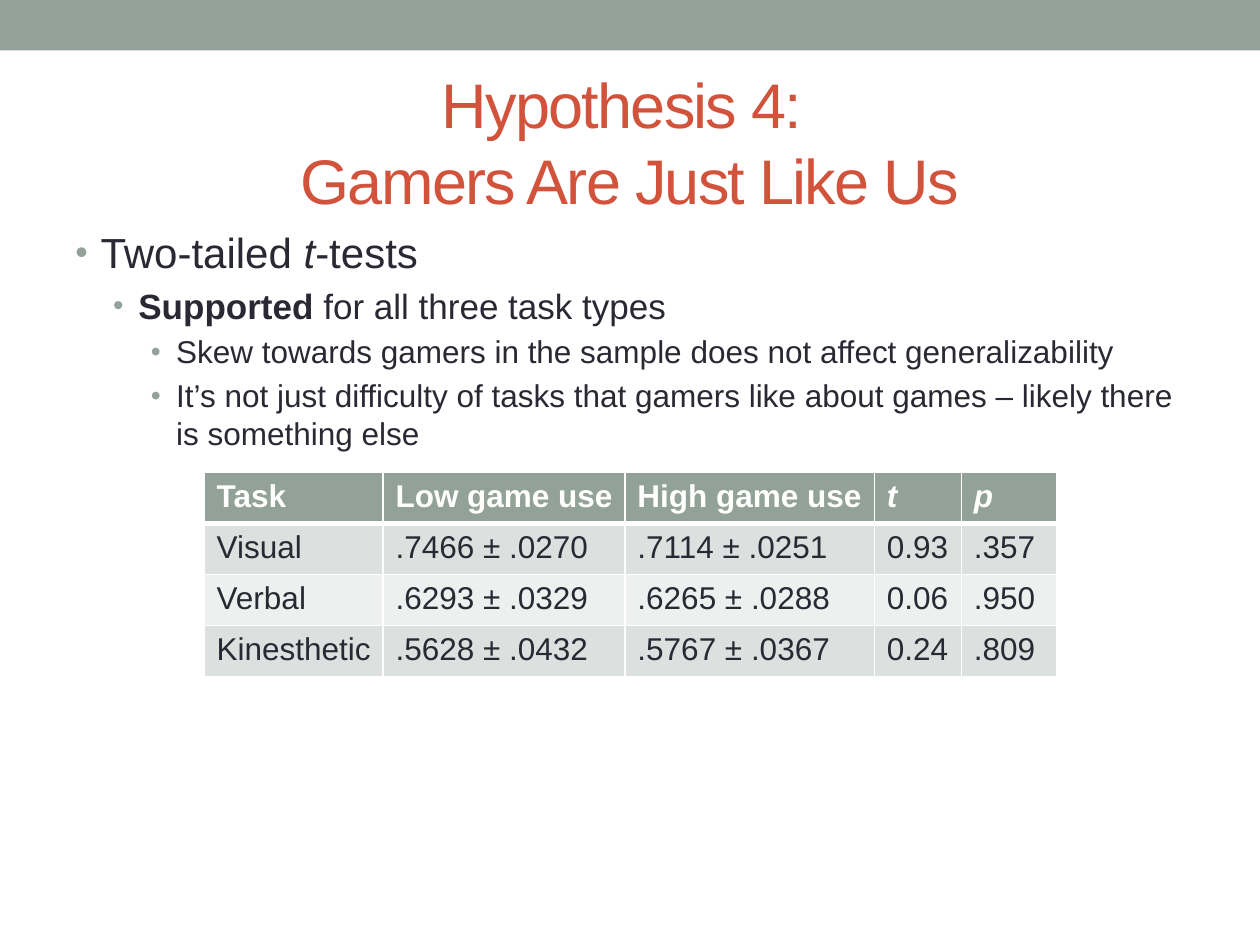
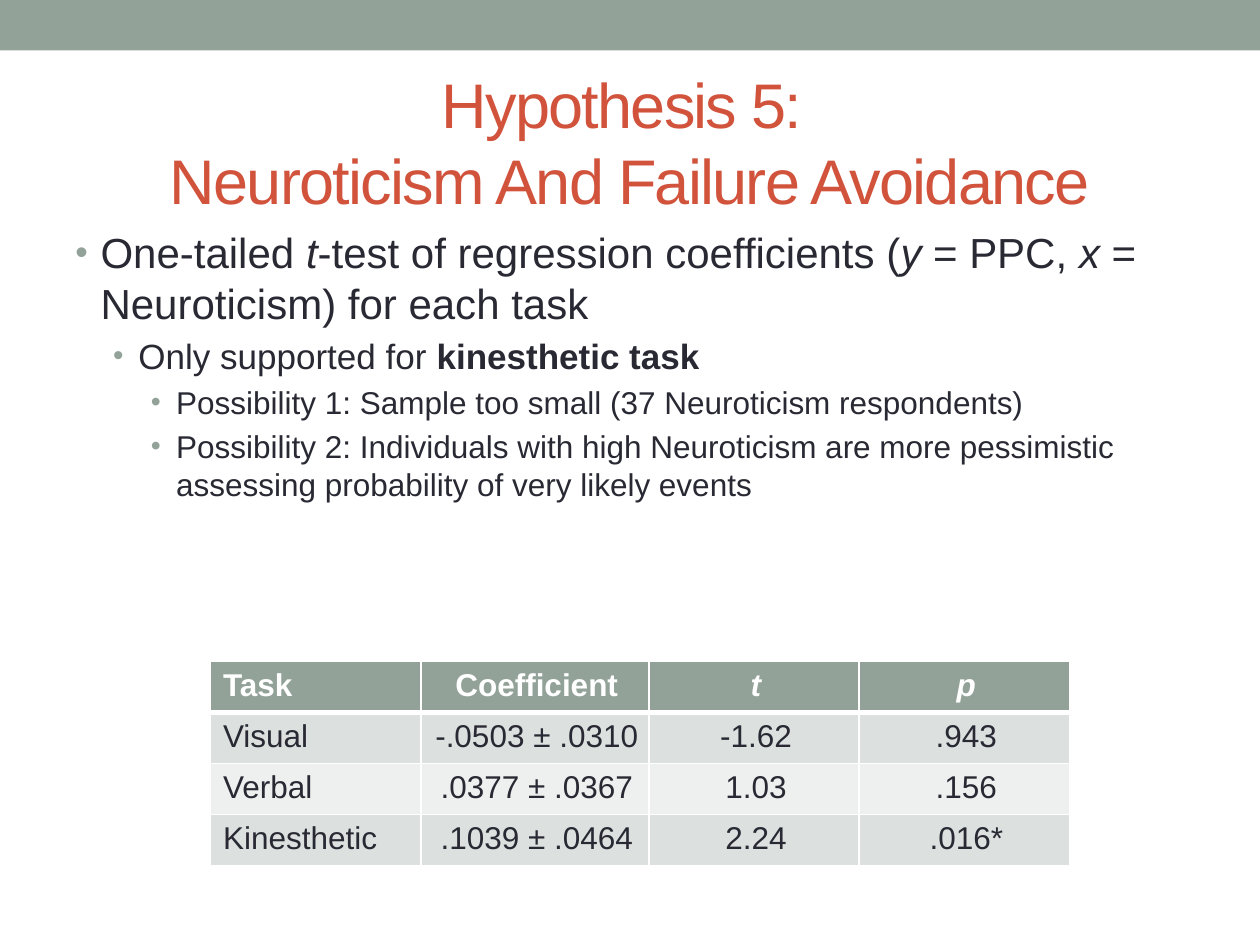
from pptx import Presentation
from pptx.dml.color import RGBColor
from pptx.enum.shapes import MSO_SHAPE
from pptx.enum.text import MSO_ANCHOR, MSO_AUTO_SIZE, PP_ALIGN
from pptx.oxml.ns import qn
from pptx.util import Inches, Pt
from lxml.etree import SubElement

SAGE = RGBColor(0x93, 0xA2, 0x99)
BRICK = RGBColor(0xD2, 0x53, 0x3C)
INK = RGBColor(0x29, 0x29, 0x34)
WHITE = RGBColor(0xFF, 0xFF, 0xFF)
ROW_DARK = RGBColor(0xDC, 0xE0, 0xDE)
ROW_LIGHT = RGBColor(0xEE, 0xF0, 0xEF)
FONT = "Arial"
TABLE_HEIGHT = 1.62
LEVEL_SIZES = (24, 20, 18)
BULLET_PERCENTS = (85, 85, 90)

# Bullets are (level, runs); a run is (text, style) with style "", "b" or "i".
GAMER_BULLETS = [
    (0, [("Two-tailed ", ""), ("t", "i"), ("-tests", "")]),
    (1, [("Supported ", "b"), ("for all three task types", "")]),
    (2, [("Skew towards gamers in the sample does not affect generalizability", "")]),
    (2, [("It’s not just difficulty of tasks that gamers like about games – "
          "likely there is something else", "")]),
]
GAMER_ROWS = [
    ("Task", "Low game use", "High game use", "t", "p"),
    ("Visual", ".7466 ± .0270", ".7114 ± .0251", "0.93", ".357"),
    ("Verbal", ".6293 ± .0329", ".6265 ± .0288", "0.06", ".950"),
    ("Kinesthetic", ".5628 ± .0432", ".5767 ± .0367", "0.24", ".809"),
]
NEUROTICISM_BULLETS = [
    (0, [("One-tailed ", ""), ("t", "i"), ("-test of regression coefficients (", ""),
         ("y", "i"), (" = PPC, ", ""), ("x", "i"), (" = Neuroticism) for each task", "")]),
    (1, [("Only supported for ", ""), ("kinesthetic task", "b")]),
    (2, [("Possibility 1: Sample too small (37 Neuroticism respondents)", "")]),
    (2, [("Possibility 2: Individuals with high Neuroticism are more pessimistic "
          "assessing probability of very likely events", "")]),
]
NEUROTICISM_ROWS = [
    ("Task", "Coefficient", "t", "p"),
    ("Visual", "-.0503 ± .0310", "-1.62", ".943"),
    ("Verbal", ".0377 ± .0367", "1.03", ".156"),
    ("Kinesthetic", ".1039 ± .0464", "2.24", ".016*"),
]


def format_run(r, size, color, bold=False, italic=False):
    r.font.name = FONT
    r.font.size = Pt(size)
    r.font.color.rgb = color
    r.font.bold = bold
    r.font.italic = italic


def add_band(slide):
    sp = slide.shapes.add_shape(MSO_SHAPE.RECTANGLE, 0, 0, Inches(10), Inches(0.4))
    sp.shadow.inherit = False
    sp.fill.solid()
    sp.fill.fore_color.rgb = SAGE
    sp.line.fill.background()


def set_title(slide, text):
    title = slide.shapes.title
    title.left, title.top = Inches(0.5), Inches(0.58)
    title.width, title.height = Inches(9), Inches(1.08)
    tf = title.text_frame
    tf.auto_size = MSO_AUTO_SIZE.NONE
    tf.vertical_anchor = MSO_ANCHOR.MIDDLE
    p = tf.paragraphs[0]
    p.text = text
    p.alignment = PP_ALIGN.CENTER
    for r in p.runs:
        format_run(r, 36, BRICK)
        r.font._element.set("spc", "-100")


def set_bullet(p, level):
    pPr = p._p.get_or_add_pPr()
    pPr.set("marL", str(Inches(0.2 + 0.3 * level)))
    pPr.set("indent", str(Inches(-0.2)))
    color = SubElement(pPr, qn("a:buClr"))
    SubElement(color, qn("a:srgbClr"), val=str(SAGE))
    SubElement(pPr, qn("a:buSzPct"), val=str(BULLET_PERCENTS[level] * 1000))
    SubElement(pPr, qn("a:buFont"), typeface=FONT)
    SubElement(pPr, qn("a:buChar"), char="•")


def add_bullets(slide, bullets):
    box = slide.shapes.add_textbox(Inches(0.5), Inches(1.75), Inches(9), Inches(5.33))
    tf = box.text_frame
    tf.word_wrap = True
    for i, (level, runs) in enumerate(bullets):
        p = tf.paragraphs[0] if i == 0 else tf.add_paragraph()
        size = LEVEL_SIZES[level]
        p.level = level
        p.space_before = Pt(0.2 * size)
        set_bullet(p, level)
        for text, style in runs:
            r = p.add_run()
            r.text = text
            format_run(r, size, INK, style == "b", style == "i")


def set_borders(cell, top, bottom):
    """Draw white borders; top and bottom are widths in points."""
    tcPr = cell._tc.get_or_add_tcPr()
    for side, width in (("L", 1), ("R", 1), ("T", top), ("B", bottom)):
        ln = SubElement(tcPr, qn(f"a:ln{side}"), w=str(Pt(width)))
        fill = SubElement(ln, qn("a:solidFill"))
        SubElement(fill, qn("a:srgbClr"), val=str(WHITE))


def format_cell(cell, row, align):
    header = row == 0
    set_borders(cell, 3 if row == 1 else 1, 3 if header else 1)
    cell.fill.solid()
    cell.fill.fore_color.rgb = SAGE if header else ROW_DARK if row % 2 else ROW_LIGHT
    # A slim right margin keeps the widest entries on one line.
    cell.margin_right = Inches(0.07)
    p = cell.text_frame.paragraphs[0]
    p.alignment = align
    format_run(p.runs[0], 18, WHITE if header else INK, header, cell.text in ("t", "p"))


def add_results_table(slide, rows, left, top, widths, value_align):
    frame = slide.shapes.add_table(len(rows), len(widths), Inches(left), Inches(top),
                                   Inches(sum(widths)), Inches(TABLE_HEIGHT))
    table = frame.table
    for column, width in zip(table.columns, widths):
        column.width = Inches(width)
    for i, values in enumerate(rows):
        for j, value in enumerate(values):
            cell = table.cell(i, j)
            cell.text = value
            format_cell(cell, i, value_align if j else PP_ALIGN.LEFT)


def add_hypothesis_slide(prs, title, bullets):
    slide = prs.slides.add_slide(prs.slide_layouts[5])
    add_band(slide)
    set_title(slide, title)
    add_bullets(slide, bullets)
    return slide


def main():
    prs = Presentation()
    prs.slide_width, prs.slide_height = Inches(10), Inches(7.5)

    slide = add_hypothesis_slide(prs, "Hypothesis 4: \vGamers Are Just Like Us", GAMER_BULLETS)
    add_results_table(slide, GAMER_ROWS, 1.62, 3.75, (1.42, 1.92, 1.98, 0.69, 0.76),
                      PP_ALIGN.LEFT)

    slide = add_hypothesis_slide(prs, "Hypothesis 5: \vNeuroticism And Failure Avoidance",
                                 NEUROTICISM_BULLETS)
    add_results_table(slide, NEUROTICISM_ROWS, 1.67, 5.25, (1.67, 1.81, 1.67, 1.67),
                      PP_ALIGN.CENTER)

    prs.save("out.pptx")


if __name__ == "__main__":
    main()
